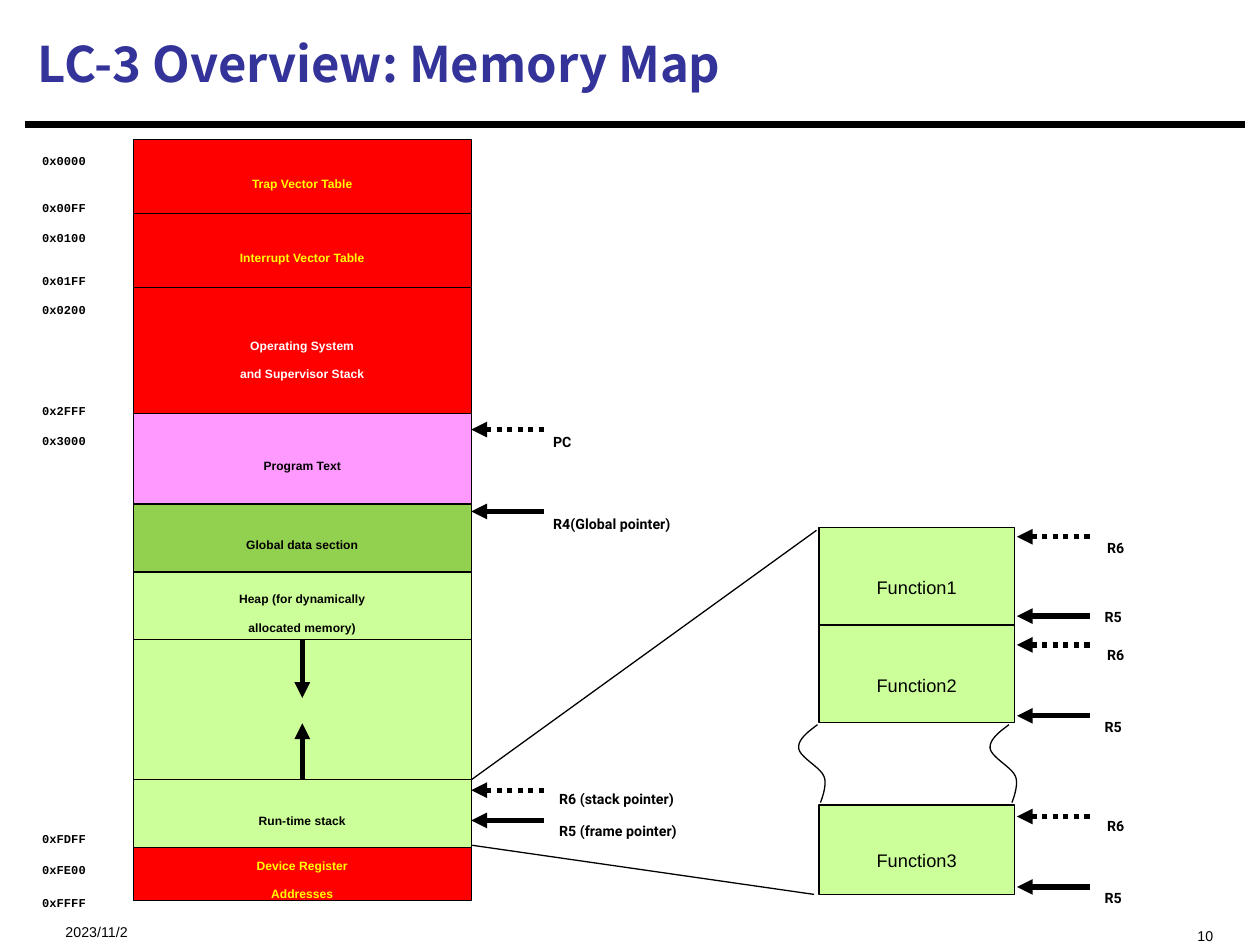
from dataclasses import dataclass

import pptx
import pptx.dml.color
import pptx.enum.dml
import pptx.enum.shapes
import pptx.enum.text
import pptx.oxml.ns
import pptx.shapes.connector
import pptx.slide
import pptx.text.text
import pptx.util
from lxml import etree
from pptx.util import Cm, Pt

COLORS = {
    "black": "000000", "white": "FFFFFF", "yellow": "FFFF00", "navy": "333399",
    "red": "FF0000", "pink": "FF99FF", "green": "92D050", "lime": "CCFF99",
}
ALIGN = pptx.enum.text.PP_ALIGN
ANCHOR = pptx.enum.text.MSO_ANCHOR
AUTO_SIZE = pptx.enum.text.MSO_AUTO_SIZE
SUBSCRIPT = "-25000"
MAP_LEFT, MAP_WIDTH = 2.69, 6.81
MAP_RIGHT = MAP_LEFT + MAP_WIDTH
FRAME_LEFT, FRAME_WIDTH = 16.51, 3.94
FRAME_TIP = 20.5
POINTER_LENGTH = 1.47


@dataclass
class Region:
    text: str
    top: float
    height: float
    fill: str
    color: str = "black"


@dataclass
class Pointer:
    text: str
    tip: float
    y: float
    left: float
    top: float
    width: float
    dotted: bool = False


@dataclass
class Address:
    text: str
    top: float


REGIONS = [
    Region("", 12.78, 2.95, "lime"),
    Region("Device Register\nAddresses", 17.02, 1.14, "red", "yellow"),
    Region("Trap Vector Table", 2.82, 1.49, "red", "yellow"),
    Region("Interrupt Vector Table", 4.31, 1.49, "red", "yellow"),
    Region("Operating System\nand Supervisor Stack", 5.8, 2.62, "red", "white"),
    Region("Run-time stack", 15.72, 1.37, "lime"),
    Region("Program Text", 8.33, 1.83, "pink"),
    Region("Global data section", 10.16, 1.37, "green"),
    Region("Heap (for dynamically\nallocated memory)", 11.53, 1.37, "lime"),
]
ADDRESSES = [
    Address("0x0000", 2.69), Address("0x00FF", 3.63), Address("0x0100", 4.24),
    Address("0x01FF", 5.11), Address("0x0200", 5.69), Address("0x2FFF", 7.72),
    Address("0x3000", 8.33), Address("0xFDFF", 16.36), Address("0xFE00", 16.97),
    Address("0xFFFF", 17.65),
]
FRAMES = [
    Region("Function1", 10.64, 1.96, "lime"),
    Region("Function2", 12.61, 1.96, "lime"),
    Region("Function3", 16.23, 1.8, "lime"),
]
POINTERS = [
    Pointer("PC", MAP_RIGHT, 8.66, 10.9, 8.28, 1.09, True),
    Pointer("R4(Global pointer)", MAP_RIGHT, 10.31, 10.9, 9.93, 4.37),
    Pointer("R6 (stack pointer)", MAP_RIGHT, 15.93, 11.02, 15.47, 4.27, True),
    Pointer("R5 (frame pointer)", MAP_RIGHT, 16.54, 11.02, 16.13, 4.39),
] + [
    Pointer("R6", FRAME_TIP, y, 22.07, top, 1.24, True)
    for y, top in [(10.82, 10.41), (13, 12.57), (16.46, 16.03)]
] + [
    Pointer("R5", FRAME_TIP, y, 22.02, top, 1.24)
    for y, top in [(12.42, 11.81), (14.43, 14.02), (17.88, 17.48)]
]
BREAK_START = (16.48, 14.61)
BREAK_CURVES = [
    [(16.28, 14.76), (16.08, 14.91), (16.1, 15.09)],
    [(16.13, 15.27), (16.54, 15.47), (16.61, 15.65)],
    [(16.69, 15.82), (16.54, 16.18), (16.54, 16.18)],
]


def rgb(name: str) -> pptx.dml.color.RGBColor:
    return pptx.dml.color.RGBColor.from_string(COLORS[name])


def write(frame: pptx.text.text.TextFrame, text: str, *, size: float, font: str = "Arial",
          color: str = "black", bold: bool = False, align=ALIGN.LEFT, anchor=ANCHOR.TOP,
          wrap: bool = False, fit=AUTO_SIZE.NONE, baseline: str = SUBSCRIPT) -> None:
    frame.word_wrap = wrap
    frame.auto_size = fit
    frame.vertical_anchor = anchor
    for index, line in enumerate(text.split("\n")):
        paragraph = frame.add_paragraph() if index else frame.paragraphs[0]
        paragraph.alignment = align
        run = paragraph.add_run()
        run.text = line
        run.font.size, run.font.name, run.font.bold = Pt(size), font, bold
        run.font.color.rgb = rgb(color)
        run._r.get_or_add_rPr().set("baseline", baseline)


def add_label(slide: pptx.slide.Slide, text: str, left: float, top: float,
              width: float, height: float, **text_format) -> None:
    box = slide.shapes.add_textbox(Cm(left), Cm(top), Cm(width), Cm(height))
    write(box.text_frame, text, **text_format)


def add_region(slide: pptx.slide.Slide, region: Region, left: float, width: float,
               **text_format):
    shape = slide.shapes.add_shape(pptx.enum.shapes.MSO_SHAPE.RECTANGLE, Cm(left),
                                   Cm(region.top), Cm(width), Cm(region.height))
    shape.shadow.inherit = False
    shape.fill.solid()
    shape.fill.fore_color.rgb = rgb(region.fill)
    shape.line.color.rgb = rgb("black")
    shape.line.width = Pt(0.75)
    if region.text:
        write(shape.text_frame, region.text, color=region.color, align=ALIGN.CENTER,
              anchor=ANCHOR.MIDDLE, **text_format)
    return shape


def add_line(slide: pptx.slide.Slide, start: tuple[float, float], end: tuple[float, float],
             width: float = 0.75, arrow: str = "",
             dotted: bool = False) -> pptx.shapes.connector.Connector:
    line = slide.shapes.add_connector(pptx.enum.shapes.MSO_CONNECTOR.STRAIGHT,
                                      *map(Cm, start), *map(Cm, end))
    line.line.color.rgb = rgb("black")
    line.line.width = Pt(width)
    if dotted:
        line.line.dash_style = pptx.enum.dml.MSO_LINE.ROUND_DOT
    if arrow:
        etree.SubElement(line.line._get_or_add_ln(), pptx.oxml.ns.qn(arrow), type="triangle")
    etree.SubElement(line._element.spPr, pptx.oxml.ns.qn("a:effectLst"))
    return line


def add_pointer(slide: pptx.slide.Slide, pointer: Pointer) -> None:
    add_line(slide, (pointer.tip, pointer.y), (pointer.tip + POINTER_LENGTH, pointer.y),
             3, "a:headEnd", pointer.dotted)
    add_label(slide, pointer.text, pointer.left, pointer.top, pointer.width, 0.86,
              size=14, font="Roboto", bold=True, fit=AUTO_SIZE.SHAPE_TO_FIT_TEXT)


def add_break(slide: pptx.slide.Slide, offset: float, steps: int = 10) -> None:
    points = [BREAK_START]
    for curve in BREAK_CURVES:
        controls = [points[-1], *curve]
        for step in range(1, steps + 1):
            t = step / steps
            weights = [(1 - t) ** 3, 3 * t * (1 - t) ** 2, 3 * t ** 2 * (1 - t), t ** 3]
            points.append(tuple(sum(weight * control[axis] for weight, control
                                    in zip(weights, controls)) for axis in (0, 1)))
    placed = [(Cm(x + offset), Cm(y)) for x, y in points]
    builder = slide.shapes.build_freeform(*placed[0])
    builder.add_line_segments(placed[1:], close=False)
    shape = builder.convert_to_shape()
    shape.shadow.inherit = False
    shape.fill.background()
    shape.line.color.rgb = rgb("black")
    shape.line.width = Pt(0.75)


def main() -> None:
    presentation = pptx.Presentation()
    presentation.slide_width, presentation.slide_height = Cm(25.4), Cm(19.05)
    slide = presentation.slides.add_slide(presentation.slide_layouts[5])
    add_line(slide, (0.51, 2.51), (25.1, 2.51), 3.75)
    title = slide.shapes.title
    title.left, title.top, title.width, title.height = Cm(0.51), Cm(0.2), Cm(24.56), Cm(2.13)
    write(title.text_frame, "LC-3 Overview: Memory Map", size=28, font="Noto Sans CJK SC",
          color="navy", bold=True, anchor=ANCHOR.MIDDLE, wrap=True, baseline="0")
    add_label(slide, "2023/11/2", 1.07, 18.16, 6.35, 0.69, size=14, wrap=True)
    add_label(slide, "10", 17.09, 18.24, 7.62, 0.69, size=14, wrap=True, align=ALIGN.RIGHT)

    regions = {region.text: add_region(slide, region, MAP_LEFT, MAP_WIDTH, size=12, bold=True)
               for region in REGIONS}
    for address in ADDRESSES:
        add_label(slide, address.text, 0.6, address.top, 2.06, 0.76, size=12,
                  font="Courier New", bold=True, fit=AUTO_SIZE.SHAPE_TO_FIT_TEXT)

    middle = MAP_LEFT + MAP_WIDTH / 2
    heap_growth = add_line(slide, (middle, 12.9), (middle, 14.07), 3, "a:tailEnd")
    heap_growth.begin_connect(regions[REGIONS[-1].text], 2)
    stack_growth = add_line(slide, (middle, 15.72), (middle, 14.58), 3, "a:tailEnd")
    stack_growth.begin_connect(regions["Run-time stack"], 0)

    for frame in FRAMES:
        add_region(slide, frame, FRAME_LEFT, FRAME_WIDTH, size=18, wrap=True)
    for offset in (0, 3.86):
        add_break(slide, offset)
    for pointer in POINTERS:
        add_pointer(slide, pointer)
    add_line(slide, (MAP_RIGHT, 15.72), (16.46, 10.69))
    add_line(slide, (9.52, 17.04), (16.41, 18.03))
    presentation.save("out.pptx")


if __name__ == "__main__":
    main()
